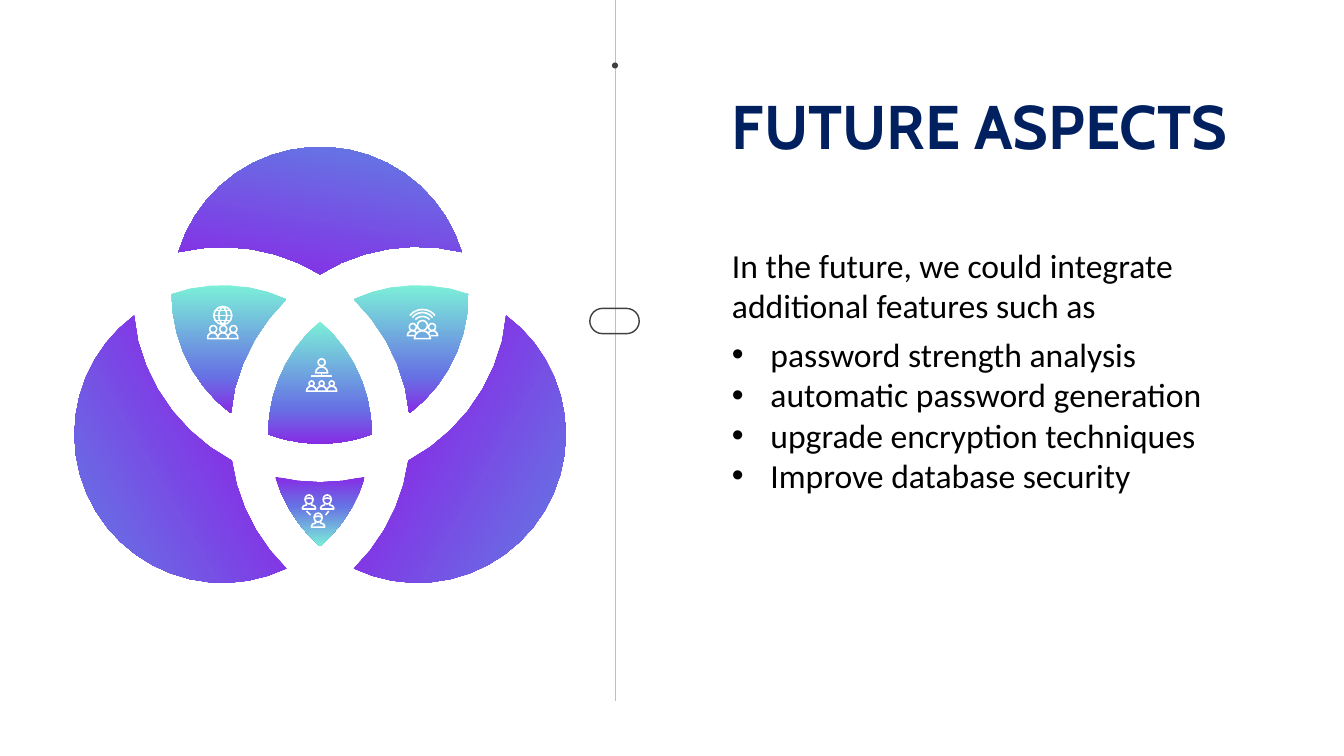
from dataclasses import dataclass
from copy import deepcopy
from math import atan, atan2, ceil, cos, hypot, pi, radians, remainder, sin

from lxml.etree import SubElement
from pptx import Presentation
from pptx.dml.color import RGBColor
from pptx.enum.shapes import MSO_CONNECTOR as Connector, MSO_SHAPE as Shape
from pptx.enum.text import MSO_ANCHOR as Anchor, MSO_AUTO_SIZE as AutoSize, PP_ALIGN as Align
from pptx.oxml.ns import qn
from pptx.util import Cm, Pt


@dataclass(frozen=True)
class Theme:
    violet: str = "882BE5"
    blue: str = "6672E4"
    mint: str = "7CEFD8"
    white: str = "FFFFFF"
    navy: str = "002060"
    black: str = "000000"
    dark: str = "404040"
    rule: str = "BFBFBF"
    title_font: str = "Cabin"
    body_font: str = "Calibri"
    title_size: int = 44
    body_size: int = 24
    icon_line: float = 1.13


THEME = Theme()
AXIS = 3.175
TOP, LEFT, RIGHT = (AXIS, 2.925), (2.21, 4.31), (4.14, 4.31)
ARC_STEP = radians(8)
ARCH_STEPS = 6

LEFT_PETAL = [((1.33, 3.13), LEFT), ((2.84, 5.64), RIGHT), ((2.3, 4.57), TOP)]
TOP_PETAL = [((1.77, 2.5), TOP), ((4.58, 2.5), RIGHT), ((AXIS, 2.72), LEFT)]
BOTTOM_LENS = [((2.73, 4.73), RIGHT), ((AXIS, 5.42), LEFT), ((3.62, 4.73), TOP)]
LEFT_LENS = [((1.7, 2.92), LEFT), ((2.84, 2.97), RIGHT), ((2.29, 4.1), TOP)]
CORE = [((2.66, 4.31), RIGHT), ((AXIS, 3.19), LEFT), ((3.69, 4.31), TOP)]

INTRO = "In the future, we could integrate additional features such as"
FEATURES = [
    "password strength analysis",
    "automatic password generation",
    "upgrade encryption techniques",
    "Improve database security",
]


def inches(*values):
    return [Cm(value * 2.54) for value in values]


def flip(points, axis):
    return [(2 * axis - x, y) for x, y in points]


def outline(region):
    points = []
    for (start, (cx, cy)), (end, _) in zip(region, region[1:] + region[:1]):
        first = atan2(start[1] - cy, start[0] - cx)
        sweep = remainder(atan2(end[1] - cy, end[0] - cx) - first, 2 * pi)
        radius = hypot(start[0] - cx, start[1] - cy)
        steps = ceil(abs(sweep) / ARC_STEP)
        points += [(cx + radius * cos(first + sweep * step / steps),
                    cy + radius * sin(first + sweep * step / steps)) for step in range(steps)]
    return points


def arch(left, right, base, height):
    half = (right - left) / 2
    radius = (half ** 2 + height ** 2) / (2 * height)
    spread = 2 * atan(height / half)
    angles = [spread * (2 * step / ARCH_STEPS - 1) for step in range(ARCH_STEPS + 1)]
    return [(left + half + radius * sin(angle), base - height + radius * (1 - cos(angle)))
            for angle in angles]


def paint(shape, fill=None, line=None, width=1):
    shape.shadow.inherit = False
    if fill:
        shape.fill.solid()
        shape.fill.fore_color.rgb = RGBColor.from_string(fill)
    else:
        shape.fill.background()
    if line:
        shape.line.color.rgb = RGBColor.from_string(line)
        shape.line.width = Pt(width)
    else:
        shape.line.fill.background()


def add_outline(shapes, points, closed):
    corners = [inches(x, y) for x, y in points]
    builder = shapes.build_freeform(*corners[0])
    builder.add_line_segments(corners[1:], close=closed)
    return builder.convert_to_shape()


def add_region(shapes, points, stops, angle):
    shape = add_outline(shapes, points, True)
    paint(shape)
    shape.fill.gradient()
    stop_list = shape._element.spPr.find(qn("a:gradFill")).find(qn("a:gsLst"))
    stop_list.append(deepcopy(stop_list[-1]))
    for stop, (percent, color) in zip(shape.fill.gradient_stops, stops):
        stop.position = percent / 100
        stop.color.rgb = RGBColor.from_string(color)
    shape.fill.gradient_angle = 360 - angle


def add_stroke(shapes, points, closed=False):
    paint(add_outline(shapes, points, closed), line=THEME.white, width=THEME.icon_line)


def add_ring(shapes, left, top, width, height):
    ring = shapes.add_shape(Shape.OVAL, *inches(left, top, width, height))
    paint(ring, line=THEME.white, width=THEME.icon_line)


def add_line(shapes, start, end, color, width):
    line = shapes.add_connector(Connector.STRAIGHT, *inches(*start, *end))
    line.line.color.rgb = RGBColor.from_string(color)
    line.line.width = Pt(width)
    SubElement(line._element.spPr, qn("a:effectLst"))


def add_icon_line(shapes, start, end):
    add_line(shapes, start, end, THEME.white, THEME.icon_line)


def add_person(shapes, center, head_top, head, base, radius):
    add_ring(shapes, center - head / 2, head_top, head, head)
    add_stroke(shapes, arch(center - radius, center + radius, base, radius), True)


def add_hierarchy_icon(shapes):
    add_person(shapes, 3.19, 3.56, 0.07, 3.7, 0.06)
    for center in (3.09, 3.19, 3.29):
        add_person(shapes, center, 3.78, 0.05, 3.88, 0.05)
    add_stroke(shapes, [(3.09, 3.74), (3.09, 3.73), (3.29, 3.73), (3.29, 3.74)])
    add_icon_line(shapes, (3.19, 3.7), (3.19, 3.74))


def add_worker(shapes, left, top):
    center = left + 0.065
    shoulder = [(left + x, top + y) for x, y in
                [(0.04, 0.08), (0.04, 0.1), (0.01, 0.11), (0, 0.13), (0, 0.14), (0.07, 0.14)]]
    add_stroke(shapes, shoulder)
    add_stroke(shapes, flip(shoulder, center))
    add_ring(shapes, center - 0.04, top, 0.08, 0.09)
    brim = [(center + x, top + y) for x, y in [(-0.04, 0.04), (0, 0.03), (0.04, 0.04)]]
    add_stroke(shapes, brim)


def add_team_icon(shapes):
    for left, top in [(3, 4.91), (3.18, 4.91), (3.09, 5.09)]:
        add_worker(shapes, left, top)
    add_icon_line(shapes, (3.04, 5.07), (3.08, 5.11))
    add_icon_line(shapes, (3.26, 5.07), (3.23, 5.11))


def add_signal_icon(shapes):
    center = 4.19
    neighbour = [(4.11, 3.33)] + arch(4.04, 4.14, 3.33, 0.05)[:-1]
    for left, body in [(4.06, neighbour), (4.25, flip(neighbour, center))]:
        add_ring(shapes, left, 3.21, 0.07, 0.07)
        add_stroke(shapes, body)
    add_person(shapes, center, 3.18, 0.1, 3.36, 0.08)
    for half, base, height in [(0.07, 3.17, 0.03), (0.1, 3.15, 0.05), (0.125, 3.13, 0.06)]:
        add_stroke(shapes, arch(center - half, center + half, base, height))


def add_globe_icon(shapes):
    add_ring(shapes, 2.12, 3.04, 0.18, 0.18)
    meridian = [(x, y) for y, x in arch(3.04, 3.22, 2.21, 0.04)]
    add_stroke(shapes, meridian)
    add_stroke(shapes, flip(meridian, 2.21))
    for y, half in [(3.08, 0.07), (3.13, 0.09), (3.18, 0.07)]:
        add_icon_line(shapes, (2.21 - half, y), (2.21 + half, y))
    crowd = []
    for center in (2.11, 2.21, 2.31):
        add_ring(shapes, center - 0.03, 3.23, 0.07, 0.07)
        crowd += arch(center - 0.05, center + 0.05, 3.36, 0.06)
    add_stroke(shapes, crowd, True)


def add_venn(shapes):
    petal = [(28, THEME.violet), (92, THEME.blue), (100, THEME.mint)]
    crown = [(3, THEME.mint), (13, THEME.blue), (99, THEME.violet)]
    lens = [(0, THEME.mint), (71, THEME.blue), (100, THEME.violet)]
    foot = [(0, THEME.violet), (42, THEME.blue), (100, THEME.mint)]
    left_petal, left_lens = outline(LEFT_PETAL), outline(LEFT_LENS)
    add_region(shapes, left_petal, petal, 150)
    add_region(shapes, outline(TOP_PETAL), crown, 100)
    add_region(shapes, flip(left_petal, AXIS), petal, 30)
    add_region(shapes, outline(BOTTOM_LENS), foot, 90)
    for points in (flip(left_lens, AXIS), left_lens, outline(CORE)):
        add_region(shapes, points, lens, 90)
    for add_icon in (add_hierarchy_icon, add_team_icon, add_signal_icon, add_globe_icon):
        add_icon(shapes)


def add_divider(shapes):
    add_line(shapes, (6.1, 0), (6.1, 6.95), THEME.rule, 0.5)
    dot = shapes.add_shape(Shape.OVAL, *inches(6.07, 0.62, 0.06, 0.06))
    paint(dot, fill=THEME.dark)
    pill = shapes.add_shape(Shape.ROUNDED_RECTANGLE, *inches(5.85, 3.06, 0.49, 0.25))
    pill.adjustments[0] = 0.5
    paint(pill, line=THEME.dark)


def prepare_frame(shape):
    frame = shape.text_frame
    frame.word_wrap = True
    frame.auto_size = AutoSize.SHAPE_TO_FIT_TEXT
    frame.vertical_anchor = Anchor.TOP
    frame.margin_left = frame.margin_top = frame.margin_right = frame.margin_bottom = 0
    return frame


def style(paragraph, name, size, color, bold=False):
    paragraph.alignment = Align.LEFT
    font = paragraph.font
    font.name, font.size, font.bold = name, Pt(size), bold
    font.color.rgb = RGBColor.from_string(color)


def set_title(title):
    title.left, title.top, title.width, title.height = inches(7.26, 1.05, 5.04, 0.56)
    paragraph = prepare_frame(title).paragraphs[0]
    paragraph.text = "FUTURE ASPECTS"
    paragraph.line_spacing = Pt(40)
    style(paragraph, THEME.title_font, THEME.title_size, THEME.navy, True)


def add_bullet(paragraph):
    properties = paragraph._p.get_or_add_pPr()
    indent = Cm(0.97)
    properties.set("marL", str(indent))
    properties.set("indent", str(-indent))
    SubElement(properties, qn("a:buFont")).set("typeface", "Arial")
    SubElement(properties, qn("a:buChar")).set("char", "•")


def add_features(shapes):
    frame = prepare_frame(shapes.add_textbox(*inches(7.26, 2.43, 4.94, 2.51)))
    intro = frame.paragraphs[0]
    intro.text = INTRO
    intro.space_after = Pt(6)
    for feature in FEATURES:
        paragraph = frame.add_paragraph()
        paragraph.text = feature
        add_bullet(paragraph)
    for paragraph in frame.paragraphs:
        style(paragraph, THEME.body_font, THEME.body_size, THEME.black)


def main():
    presentation = Presentation()
    presentation.slide_width, presentation.slide_height = inches(13.33, 7.5)
    slide = presentation.slides.add_slide(presentation.slide_layouts[5])
    add_venn(slide.shapes.add_group_shape().shapes)
    add_divider(slide.shapes)
    set_title(slide.shapes.title)
    add_features(slide.shapes)
    presentation.save("out.pptx")


if __name__ == "__main__":
    main()
